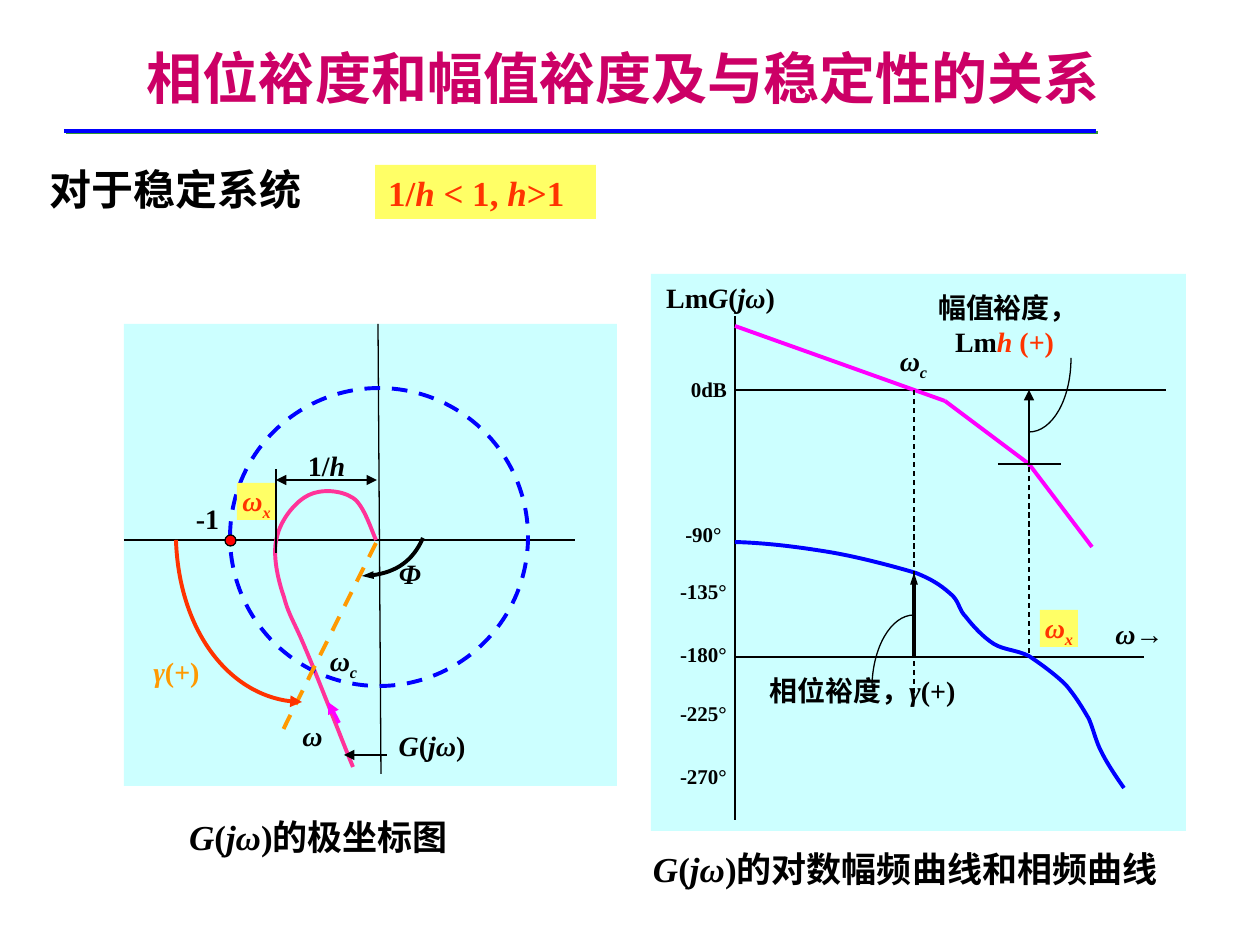
from dataclasses import dataclass
from itertools import pairwise
from typing import NamedTuple, Optional

import pptx
import pptx.dml.color
import pptx.enum.dml
import pptx.enum.shapes
import pptx.enum.text
import pptx.oxml.ns
import pptx.util
from lxml import etree

RGB = pptx.dml.color.RGBColor
BLACK = RGB(0x00, 0x00, 0x00)
WHITE = RGB(0xFF, 0xFF, 0xFF)
BLUE = RGB(0x00, 0x00, 0xFF)
RED = RGB(0xFF, 0x00, 0x00)
MAGENTA = RGB(0xFF, 0x00, 0xFF)
PINK = RGB(0xFF, 0x33, 0x99)
ORANGE = RGB(0xFF, 0x99, 0x00)
VERMILION = RGB(0xFF, 0x33, 0x00)
CRIMSON = RGB(0xCC, 0x00, 0x66)
PALE_CYAN = RGB(0xCC, 0xFF, 0xFF)
YELLOW = RGB(0xFF, 0xFF, 0x66)

SERIF = "Times New Roman"
SANS = "Noto Sans CJK SC"
EMU_PER_PX = 914400 / 126
THIN, THICK = 0.75, 2.25
LEFT, CENTER, RIGHT = (pptx.enum.text.PP_ALIGN.LEFT, pptx.enum.text.PP_ALIGN.CENTER,
                       pptx.enum.text.PP_ALIGN.RIGHT)
RECT = pptx.enum.shapes.MSO_SHAPE.RECTANGLE
OVAL = pptx.enum.shapes.MSO_SHAPE.OVAL
TOP, MIDDLE = pptx.enum.text.MSO_ANCHOR.TOP, pptx.enum.text.MSO_ANCHOR.MIDDLE


class Run(NamedTuple):
    text: str
    italic: bool = False
    subscript: bool = False
    color: Optional[RGB] = None


class Box(NamedTuple):
    left: int
    top: int
    width: int
    height: int


@dataclass(frozen=True)
class Stroke:
    color: RGB = BLACK
    width: float = THIN
    dashed: bool = False
    head: bool = False
    tail: bool = False
    arrow_width: str = "med"


@dataclass(frozen=True)
class Label:
    box: Box
    runs: list[Run]
    size: int = 16
    color: RGB = BLACK
    align: pptx.enum.text.PP_ALIGN = CENTER
    inset: int = 0
    inset_y: int = 6
    fill: Optional[RGB] = None
    wrap: bool = True
    font: str = SERIF
    anchor: pptx.enum.text.MSO_ANCHOR = TOP


def px(length: int) -> int:
    return round(length * EMU_PER_PX)


def add_child(parent, tag: str, **attributes: str):
    return etree.SubElement(parent, pptx.oxml.ns.qn(tag), attributes)


def apply_stroke(shape, stroke: Stroke) -> None:
    shape.line.color.rgb = stroke.color
    shape.line.width = pptx.util.Pt(stroke.width)
    if stroke.dashed:
        shape.line.dash_style = pptx.enum.dml.MSO_LINE.DASH
    outline = shape._element.spPr.get_or_add_ln()
    for tag, wanted in (("a:headEnd", stroke.head), ("a:tailEnd", stroke.tail)):
        if wanted:
            add_child(outline, tag, type="triangle", w=stroke.arrow_width)


def draw_line(shapes, start: tuple[int, int], end: tuple[int, int],
              stroke: Stroke = Stroke()):
    connector = shapes.add_connector(pptx.enum.shapes.MSO_CONNECTOR.STRAIGHT,
                                     *map(px, start), *map(px, end))
    apply_stroke(connector, stroke)
    return add_child(connector._element.spPr, "a:effectLst")


def draw_curve(shapes, knots: list[tuple[int, int]], stroke: Stroke) -> None:
    start, *controls = [(px(x), px(y)) for x, y in knots]
    builder = shapes.build_freeform(*start)
    builder.add_line_segments(controls, close=False)
    curve = builder.convert_to_shape()
    segments = list(curve._element.iter(pptx.oxml.ns.qn("a:lnTo")))
    outline = segments[0].getparent()
    for first in range(0, len(segments), 3):
        bezier = add_child(outline, "a:cubicBezTo")
        for segment in segments[first:first + 3]:
            bezier.append(segment[0])
            outline.remove(segment)
    curve.shadow.inherit = False
    curve.fill.background()
    apply_stroke(curve, stroke)


def draw_shape(shapes, kind, box: Box, fill: Optional[RGB] = None,
               stroke: Optional[Stroke] = None) -> None:
    shape = shapes.add_shape(kind, *map(px, box))
    shape.shadow.inherit = False
    if fill is None:
        shape.fill.background()
    else:
        shape.fill.solid()
        shape.fill.fore_color.rgb = fill
    if stroke is None:
        shape.line.fill.background()
    else:
        apply_stroke(shape, stroke)


def draw_label(shapes, label: Label) -> None:
    textbox = shapes.add_textbox(*map(px, label.box))
    if label.fill is not None:
        textbox.fill.solid()
        textbox.fill.fore_color.rgb = label.fill
    frame = textbox.text_frame
    frame.word_wrap = label.wrap
    frame.vertical_anchor = label.anchor
    frame.margin_left = frame.margin_right = px(label.inset)
    frame.margin_top = frame.margin_bottom = px(label.inset_y)
    paragraph = frame.paragraphs[0]
    paragraph.alignment = label.align
    paragraph.font.size = pptx.util.Pt(label.size)
    paragraph.font.bold = True
    paragraph.font.name = label.font
    paragraph.font.color.rgb = label.color
    add_child(paragraph._p.get_or_add_pPr().get_or_add_defRPr(), "a:ea", typeface=SANS)
    for part in label.runs:
        run = paragraph.add_run()
        run.text = part.text
        if part.italic:
            run.font.italic = True
        if part.color is not None:
            run.font.color.rgb = part.color
        if part.subscript:
            run._r.get_or_add_rPr().set("baseline", "-25000")


OMEGA = Run("ω", True)
OMEGA_C = [OMEGA, Run("c", True, True)]
OMEGA_X = [OMEGA, Run("x", True, True)]
G_JW = [Run("G", True), Run("("), Run("jω", True)]
H = Run("h", True)


def draw_heading(shapes) -> None:
    effects = draw_line(shapes, (64, 131), (1096, 131), Stroke(BLUE, 2))
    shadow = add_child(effects, "a:outerShdw", dist="17960", dir="2700000")
    add_child(shadow, "a:srgbClr", val="339933")
    for label in (
        Label(Box(134, 22, 1002, 110), [Run("相位裕度和幅值裕度及与稳定性的关系")], 32, CRIMSON,
              LEFT, 13, font=SANS, anchor=MIDDLE),
        Label(Box(37, 158, 305, 64), [Run("对于稳定系统")], 24, BLACK, LEFT, 13, font=SANS),
        Label(Box(375, 165, 221, 54), [Run("1/"), H, Run(" < 1, "), H, Run(">1")], 20,
              VERMILION, LEFT, 13, fill=YELLOW),
    ):
        draw_label(shapes, label)


def draw_polar_plot(shapes) -> None:
    draw_shape(shapes, RECT, Box(124, 324, 493, 462), PALE_CYAN)
    draw_line(shapes, (124, 540), (575, 540))
    draw_line(shapes, (381, 774), (378, 324))
    draw_curve(shapes, [
        (353, 767), (345, 748), (318, 678), (306, 650), (294, 621), (289, 616), (284, 597),
        (278, 580), (272, 554), (277, 537), (281, 519), (296, 501), (309, 495),
        (321, 489), (341, 490), (353, 498), (364, 505), (372, 532), (376, 540),
    ], Stroke(PINK, THICK))
    draw_shape(shapes, OVAL, Box(230, 388, 298, 298), stroke=Stroke(BLUE, THICK, dashed=True))
    draw_shape(shapes, OVAL, Box(225, 535, 11, 11), RED, Stroke())
    draw_line(shapes, (376, 543), (282, 732), Stroke(ORANGE, THICK, dashed=True))
    draw_line(shapes, (339, 723), (328, 702), Stroke(MAGENTA, THICK, tail=True))
    draw_curve(shapes, [(302, 702), (234, 702), (179, 630), (176, 540)],
               Stroke(VERMILION, THICK, head=True))
    draw_curve(shapes, [(362, 576), (391, 576), (413, 561), (423, 538)],
               Stroke(BLACK, THICK, head=True, arrow_width="sm"))
    draw_line(shapes, (387, 755), (344, 755), Stroke(tail=True))
    for label in (
        Label(Box(281, 713, 63, 47), [OMEGA]),
        Label(Box(176, 495, 63, 47), [Run("-1")], inset=13),
        Label(Box(312, 638, 63, 47), OMEGA_C),
        Label(Box(145, 649, 63, 47), [Run("γ", True), Run("(+)")], color=ORANGE),
        Label(Box(386, 551, 48, 47), [Run("Φ", True)], align=LEFT, inset=13, wrap=False),
        Label(Box(395, 723, 74, 47), G_JW + [Run(")")], wrap=False),
        Label(Box(237, 483, 39, 37), OMEGA_X, color=VERMILION, inset_y=1, fill=YELLOW),
        Label(Box(298, 443, 57, 47), [Run("1/"), H]),
        Label(Box(176, 809, 357, 54), G_JW + [Run(")的极坐标图")], 20, align=LEFT, inset=13),
    ):
        draw_label(shapes, label)
    draw_line(shapes, (276, 553), (276, 469))
    draw_line(shapes, (276, 480), (377, 480), Stroke(head=True, tail=True))


def draw_bode_plot(shapes) -> None:
    draw_shape(shapes, RECT, Box(651, 274, 535, 557), PALE_CYAN)
    draw_line(shapes, (735, 390), (1166, 390))
    draw_line(shapes, (735, 316), (735, 820))
    for start, end in pairwise([(735, 326), (945, 401), (1029, 464), (1092, 547)]):
        draw_line(shapes, start, end, Stroke(MAGENTA, THICK))
    draw_line(shapes, (735, 657), (1144, 657))
    draw_curve(shapes, [
        (735, 542), (768, 543), (798, 547), (829, 552), (859, 557), (896, 567), (916, 573),
        (936, 581), (944, 588), (953, 596), (960, 604), (959, 610), (966, 617),
        (973, 626), (983, 637), (994, 644), (1004, 650), (1017, 650), (1029, 656),
        (1041, 664), (1056, 675), (1066, 685), (1076, 697), (1082, 707), (1089, 719),
        (1094, 731), (1096, 742), (1102, 753), (1108, 765), (1119, 781), (1124, 788),
    ], Stroke(BLUE, THICK))
    draw_line(shapes, (914, 390), (914, 704), Stroke(dashed=True))
    draw_line(shapes, (914, 657), (914, 573),
              Stroke(width=THICK, tail=True, arrow_width="sm"))
    draw_curve(shapes, [(914, 615), (891, 615), (872, 648), (872, 688)], Stroke())
    draw_line(shapes, (1029, 653), (1029, 390), Stroke(dashed=True))
    draw_line(shapes, (998, 464), (1061, 464))
    draw_line(shapes, (1029, 464), (1029, 390), Stroke(tail=True))
    draw_curve(shapes, [(1029, 432), (1052, 432), (1071, 400), (1071, 358)], Stroke())
    for degrees, top in ((90, 516), (135, 573), (180, 636), (225, 695), (270, 758)):
        draw_label(shapes, Label(Box(672, top, 63, 38), [Run(f"-{degrees}°")], 12))
    for label in (
        Label(Box(664, 371, 63, 38), [Run("0dB")], 12, align=RIGHT),
        Label(Box(1103, 611, 73, 47), [OMEGA, Run("→")]),
        Label(Box(882, 338, 63, 47), OMEGA_C),
        Label(Box(763, 668, 199, 47), [Run("相位裕度，"), Run("γ", True), Run("(+)")]),
        Label(Box(662, 275, 117, 47), [Run("Lm")] + G_JW + [Run(")")], wrap=False),
        Label(Box(924, 285, 168, 81), [Run("幅值裕度，Lm"), Run("h", True, color=VERMILION),
                                       Run(" (+) ", color=VERMILION)]),
        Label(Box(1040, 610, 38, 37), OMEGA_X, color=VERMILION, inset_y=1, fill=YELLOW),
        Label(Box(640, 841, 564, 54), G_JW + [Run(")的对数幅频曲线和相频曲线")], 20,
              align=LEFT, inset=13, fill=WHITE),
    ):
        draw_label(shapes, label)


def main() -> None:
    deck = pptx.Presentation()
    deck.slide_width, deck.slide_height = px(1260), px(945)
    shapes = deck.slides.add_slide(deck.slide_layouts[6]).shapes
    draw_heading(shapes)
    draw_polar_plot(shapes)
    draw_bode_plot(shapes)
    deck.save("out.pptx")


if __name__ == "__main__":
    main()
